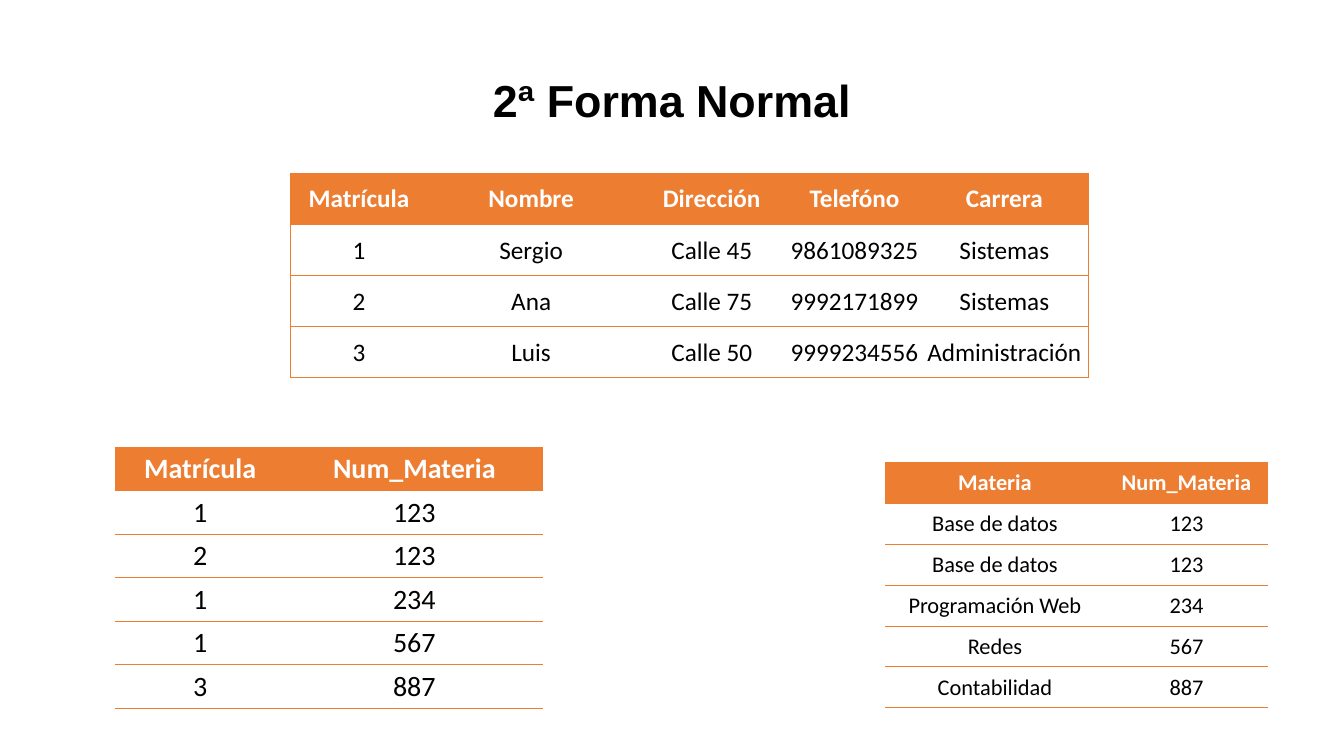
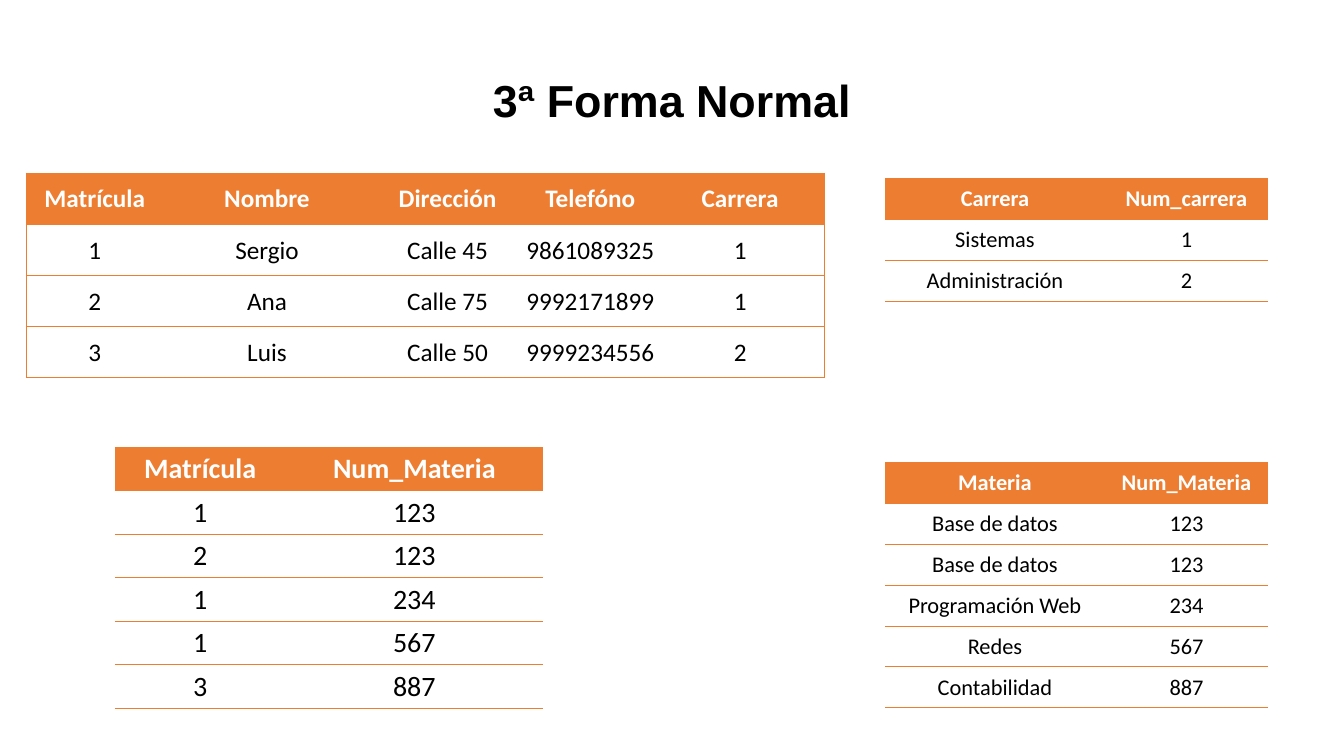
from lxml.etree import SubElement
from pptx import Presentation
from pptx.dml.color import RGBColor
from pptx.enum.text import MSO_ANCHOR, PP_ALIGN
from pptx.oxml.ns import qn
from pptx.util import Pt

ORANGE = RGBColor(0xED, 0x7D, 0x31)
WHITE = RGBColor(0xFF, 0xFF, 0xFF)
BLACK = RGBColor(0x00, 0x00, 0x00)
TITLE_FONT = "Arial"
TABLE_FONT = "Calibri"
PLAIN_TABLE_STYLE = "{2D5ABB26-0587-4C30-8999-92F81FD0307C}"

STUDENT_HEADER = ("Matrícula", "Nombre", "Dirección", "Telefóno", "Carrera")
STUDENTS = (
    ("1", "Sergio", "Calle 45", "9861089325"),
    ("2", "Ana", "Calle 75", "9992171899"),
    ("3", "Luis", "Calle 50", "9999234556"),
)
ENROLMENTS = (
    ("Matrícula", "Num_Materia"),
    ("1", "123"),
    ("2", "123"),
    ("1", "234"),
    ("1", "567"),
    ("3", "887"),
)
SUBJECTS = (
    ("Materia", "Num_Materia"),
    ("Base de datos", "123"),
    ("Base de datos", "123"),
    ("Programación Web", "234"),
    ("Redes", "567"),
    ("Contabilidad", "887"),
)
CAREERS = (
    ("Carrera", "Num_carrera"),
    ("Sistemas", "1"),
    ("Administración", "2"),
)


class NormalFormDeck:
    """Build slides of titled tables in one shared style."""

    def __init__(self):
        self.deck = Presentation()
        self.deck.slide_width = Pt(960)
        self.deck.slide_height = Pt(540)
        self.page = None

    def add_page(self, title):
        self.page = self.deck.slides.add_slide(self.deck.slide_layouts[6])
        box = self.page.shapes.add_textbox(Pt(18.7), Pt(49.7), Pt(922.6), Pt(43.2))
        frame = box.text_frame
        frame.word_wrap = True
        frame.margin_left = frame.margin_right = Pt(9)
        frame.margin_top = frame.margin_bottom = Pt(9)
        frame.vertical_anchor = MSO_ANCHOR.MIDDLE
        self.add_text(frame.paragraphs[0], title, TITLE_FONT, 32, BLACK, True)

    def add_text(self, para, text, font, size, color, bold):
        para.alignment = PP_ALIGN.CENTER
        span = para.add_run()
        span.text = text
        span.font.name = font
        span.font.size = Pt(size)
        span.font.bold = bold
        span.font.color.rgb = color

    def add_border(self, cell, sides):
        properties = cell._tc.get_or_add_tcPr()
        for side in sides:
            line = SubElement(properties, qn(f"a:ln{side}"), w=str(Pt(0.5)))
            fill = SubElement(line, qn("a:solidFill"))
            SubElement(fill, qn("a:srgbClr"), val=str(ORANGE))

    def add_table(self, rows, left, top, widths, row_height, size, outlined=False):
        table = self.page.shapes.add_table(
            len(rows), len(widths), Pt(left), Pt(top),
            Pt(sum(widths)), Pt(row_height * len(rows)),
        ).table
        table._tbl.tblPr.find(qn("a:tableStyleId")).text = PLAIN_TABLE_STYLE
        table.horz_banding = False
        for column, width in zip(table.columns, widths):
            column.width = Pt(width)
        last_column = len(widths) - 1
        for row_index, values in enumerate(rows):
            table.rows[row_index].height = Pt(row_height)
            for column_index, text in enumerate(values):
                left_side = "L" if outlined and column_index == 0 else ""
                right_side = "R" if outlined and column_index == last_column else ""
                self.fill_cell(
                    table.cell(row_index, column_index), text, size,
                    row_index == 0, left_side + right_side + "TB",
                )

    def fill_cell(self, cell, text, size, is_header, sides):
        cell.margin_left = cell.margin_right = cell.margin_top = Pt(0.7)
        cell.margin_bottom = Pt(0)
        cell.vertical_anchor = MSO_ANCHOR.MIDDLE
        self.add_border(cell, sides)
        if is_header:
            cell.fill.solid()
            cell.fill.fore_color.rgb = ORANGE
        else:
            cell.fill.background()
        color = WHITE if is_header else BLACK
        self.add_text(cell.text_frame.paragraphs[0], text, TABLE_FONT, size, color, is_header)

    def add_right_table(self, rows, top):
        self.add_table(rows, 632.2, top, (157, 116.6), 29.2, 16)

    def add_normal_form(self, title, students_left, student_careers):
        self.add_page(title)
        self.add_right_table(SUBJECTS, 330.3)
        students = [STUDENT_HEADER]
        students += [(*student, career) for student, career in zip(STUDENTS, student_careers)]
        self.add_table(students, students_left, 123.8, (98, 148, 110, 94, 120), 36.5, 18, True)
        self.add_table(ENROLMENTS, 82, 319.2, (122, 184), 31.1, 20)


def main():
    forms = NormalFormDeck()
    forms.add_normal_form("2ª Forma Normal", 207.4, ("Sistemas", "Sistemas", "Administración"))
    forms.add_normal_form("3ª Forma Normal", 18.7, ("1", "1", "2"))
    forms.add_right_table(CAREERS, 127.4)
    forms.deck.save("out.pptx")


if __name__ == "__main__":
    main()
